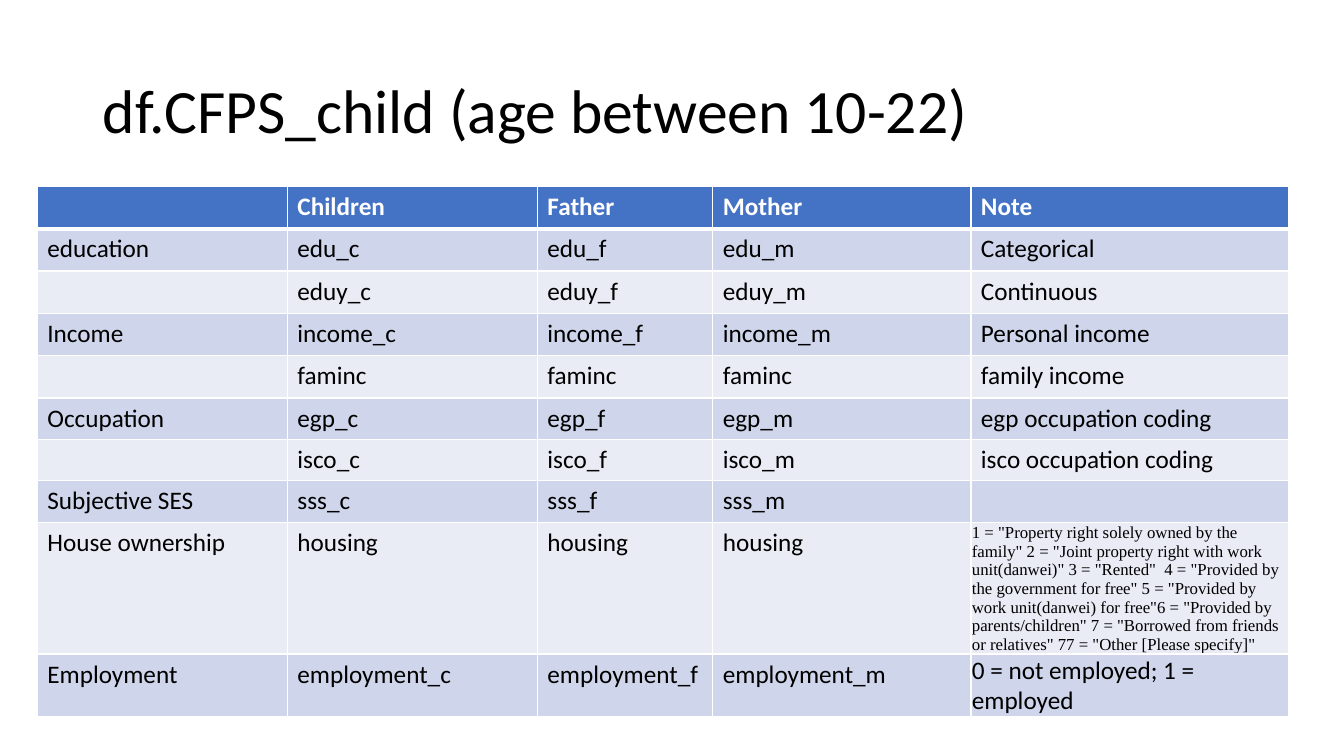
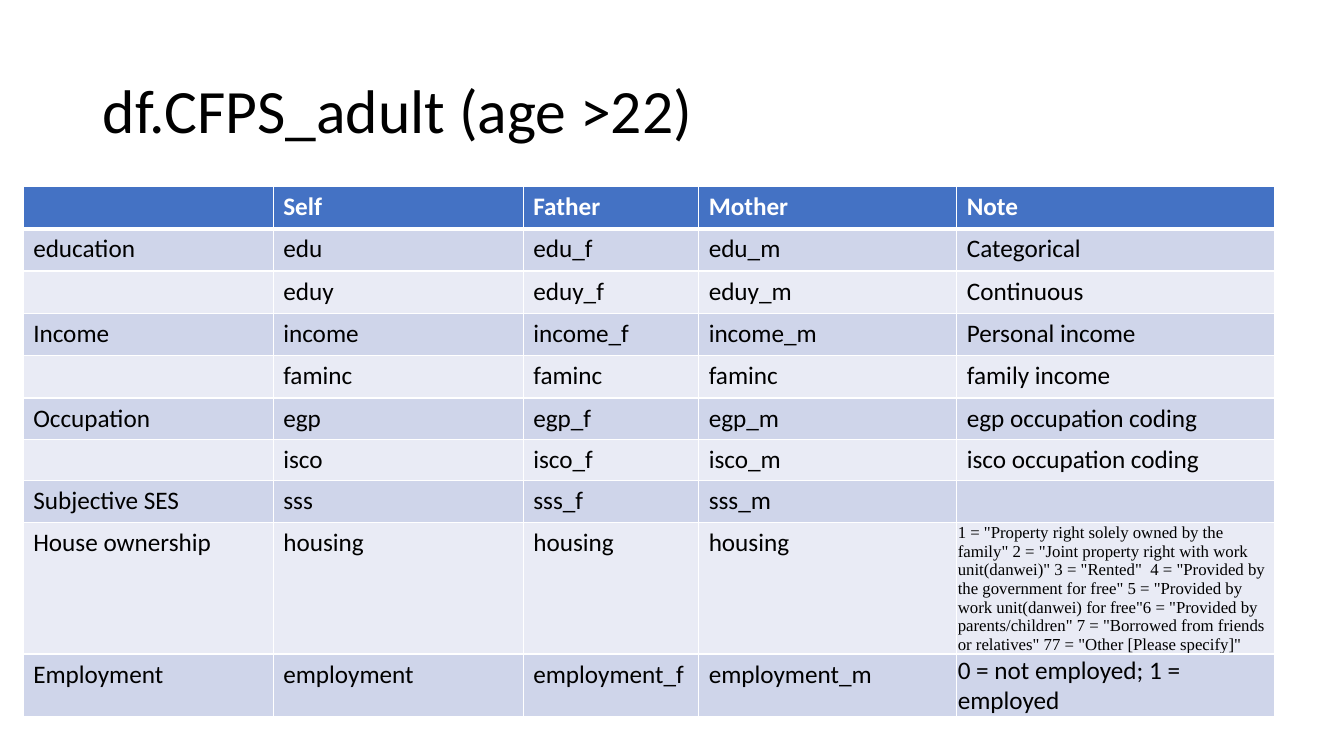
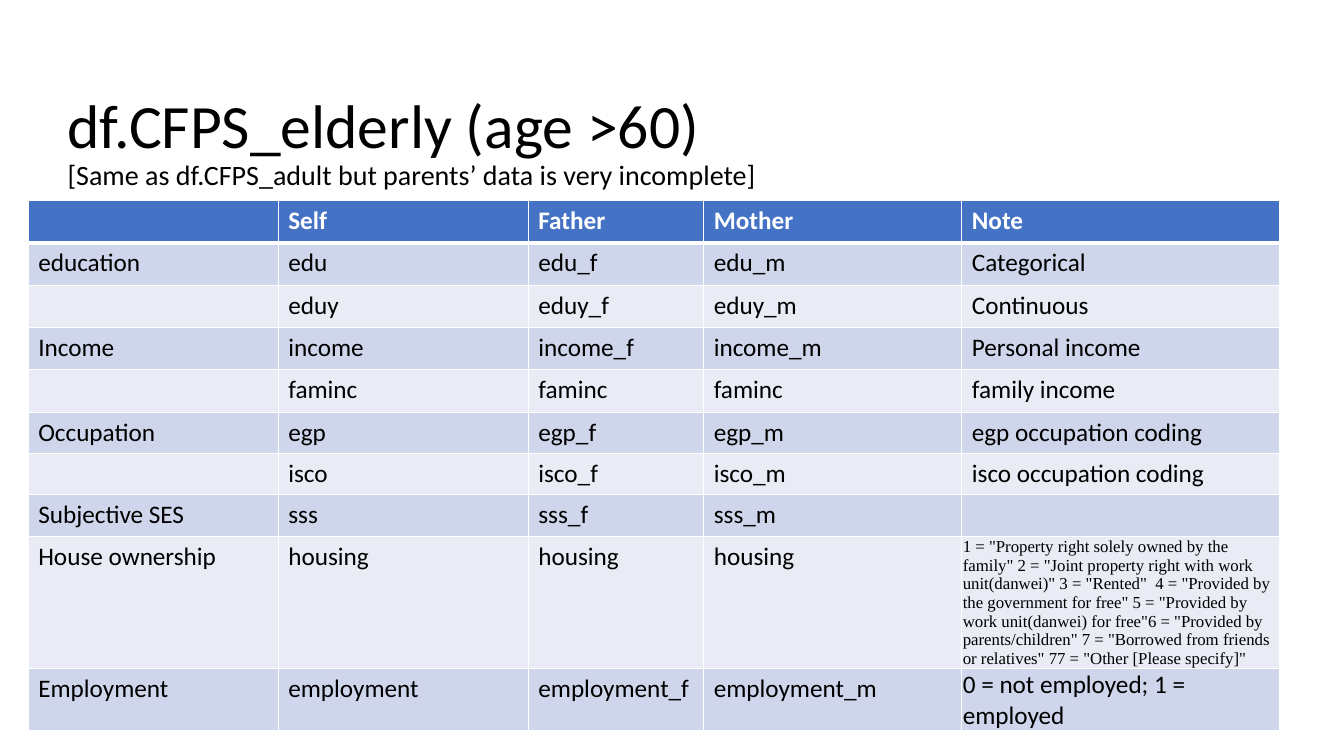
from dataclasses import dataclass
from pptx import Presentation
from pptx.dml.color import RGBColor
from pptx.enum.text import MSO_ANCHOR, MSO_AUTO_SIZE, PP_ALIGN
from pptx.oxml import parse_xml
from pptx.oxml.ns import nsdecls
from pptx.util import Inches, Pt


@dataclass(frozen=True)
class Theme:
    text: str = "000000"
    light: str = "FFFFFF"
    header: str = "4472C4"
    bands: tuple = ("E9EBF5", "CFD5EA")
    font: str = "Calibri"
    code_font: str = "Times New Roman"
    title_size: int = 44
    subtitle_size: int = 20
    body_size: int = 18
    code_size: int = 12
    border: int = 1
    header_border: int = 3


theme = Theme()


def write(paragraph, text, size=theme.body_size, font=theme.font, color=theme.text, bold=False):
    run = paragraph.add_run()
    run.text = text
    run.font.size = Pt(size)
    run.font.name = font
    run.font.bold = bold
    run.font.color.rgb = RGBColor.from_string(color)


def add_border(cell, side, width):
    cell._tc.get_or_add_tcPr().append(parse_xml(
        f'<a:ln{side} {nsdecls("a")} w="{Pt(width)}"><a:solidFill>'
        f'<a:srgbClr val="{theme.light}"/></a:solidFill></a:ln{side}>'))


housing_codes = (
    '1 = "Property right solely owned by the family" '
    '2 = "Joint property right with work unit(danwei)" '
    '3 = "Rented"  4 = "Provided by the government for free" '
    '5 = "Provided by work unit(danwei) for free"'
    '6 = "Provided by parents/children" '
    '7 = "Borrowed from friends or relatives" 77 = "Other [Please specify]"')

variables = [
    ("education", "edu", "Categorical"),
    ("", "eduy", "Continuous"),
    ("Income", "income", "Personal income"),
    ("", "faminc", "family income"),
    ("Occupation", "egp", "egp occupation coding"),
    ("", "isco", "isco occupation coding"),
    ("Subjective SES", "sss", ""),
    ("House ownership", "housing", housing_codes),
    ("Employment", "employment", "0 = not employed; 1 = employed"),
]
household_variables = {"faminc", "housing"}
coded_notes = {"housing", "employment"}
column_widths = [2.48, 2.48, 1.74, 2.56, 3.15]
row_heights = [0.42, 0.42, 0.42, 0.42, 0.42, 0.41, 0.34, 0.42, 0.42, 0.42]

datasets = [
    ("df.CFPS_child (age between 10-22)", "", (0.92, 0.4), (0.37, 1.85), "Children", "_c"),
    ("df.CFPS_adult (age >22)", "", (0.92, 0.4), (0.23, 1.85), "Self", ""),
    ("df.CFPS_elderly (age >60)", "[Same as df.CFPS_adult but parents’ data is very incomplete]",
     (0.57, 0.7), (0.28, 1.99), "Self", ""),
]

presentation = Presentation()
presentation.slide_width = Inches(13.33)
presentation.slide_height = Inches(7.5)

for heading, subheading, title_at, table_at, person, suffix in datasets:
    slide = presentation.slides.add_slide(presentation.slide_layouts[5])

    title = slide.shapes.title
    title.left, title.top = map(Inches, title_at)
    title.width, title.height = Inches(11.5), Inches(1.45)
    title.text_frame.auto_size = MSO_AUTO_SIZE.NONE
    title.text_frame.word_wrap = True
    title.text_frame.vertical_anchor = MSO_ANCHOR.MIDDLE
    paragraph = title.text_frame.paragraphs[0]
    paragraph.alignment = PP_ALIGN.LEFT
    paragraph.line_spacing = 0.9
    write(paragraph, heading, size=theme.title_size)
    if subheading:
        paragraph.add_line_break()
        write(paragraph, subheading, size=theme.subtitle_size)

    rows = [["", person, "Father", "Mother", "Note"]]
    for topic, variable, note in variables:
        endings = ["", "", ""] if variable in household_variables else [suffix, "_f", "_m"]
        rows.append([topic, *(variable + ending for ending in endings), note])

    frame = slide.shapes.add_table(len(rows), len(column_widths), *map(Inches, table_at),
                                   Inches(sum(column_widths)), Inches(5.34))
    table = frame.table
    for column, width in zip(table.columns, column_widths):
        column.width = Inches(width)
    for row, height in zip(table.rows, row_heights):
        row.height = Inches(height)
    frame.height = Inches(5.34)

    for row_index, values in enumerate(rows):
        is_header = row_index == 0
        fill = theme.header if is_header else theme.bands[row_index % 2]
        widths = {
            "L": theme.border,
            "R": theme.border,
            "T": theme.header_border if row_index == 1 else theme.border,
            "B": theme.header_border if is_header else theme.border,
        }
        for column_index, value in enumerate(values):
            cell = table.cell(row_index, column_index)
            for side, width in widths.items():
                add_border(cell, side, width)
            cell.fill.solid()
            cell.fill.fore_color.rgb = RGBColor.from_string(fill)
            is_code = value == housing_codes
            if value:
                write(cell.text_frame.paragraphs[0], value, bold=is_header,
                      color=theme.light if is_header else theme.text,
                      size=theme.code_size if is_code else theme.body_size,
                      font=theme.code_font if is_code else theme.font)
            if column_index == 4 and not is_header and variables[row_index - 1][1] in coded_notes:
                cell.vertical_anchor = MSO_ANCHOR.BOTTOM
                cell.margin_left = cell.margin_right = cell.margin_top = Inches(0.01)
                cell.margin_bottom = 0

presentation.save("out.pptx")
